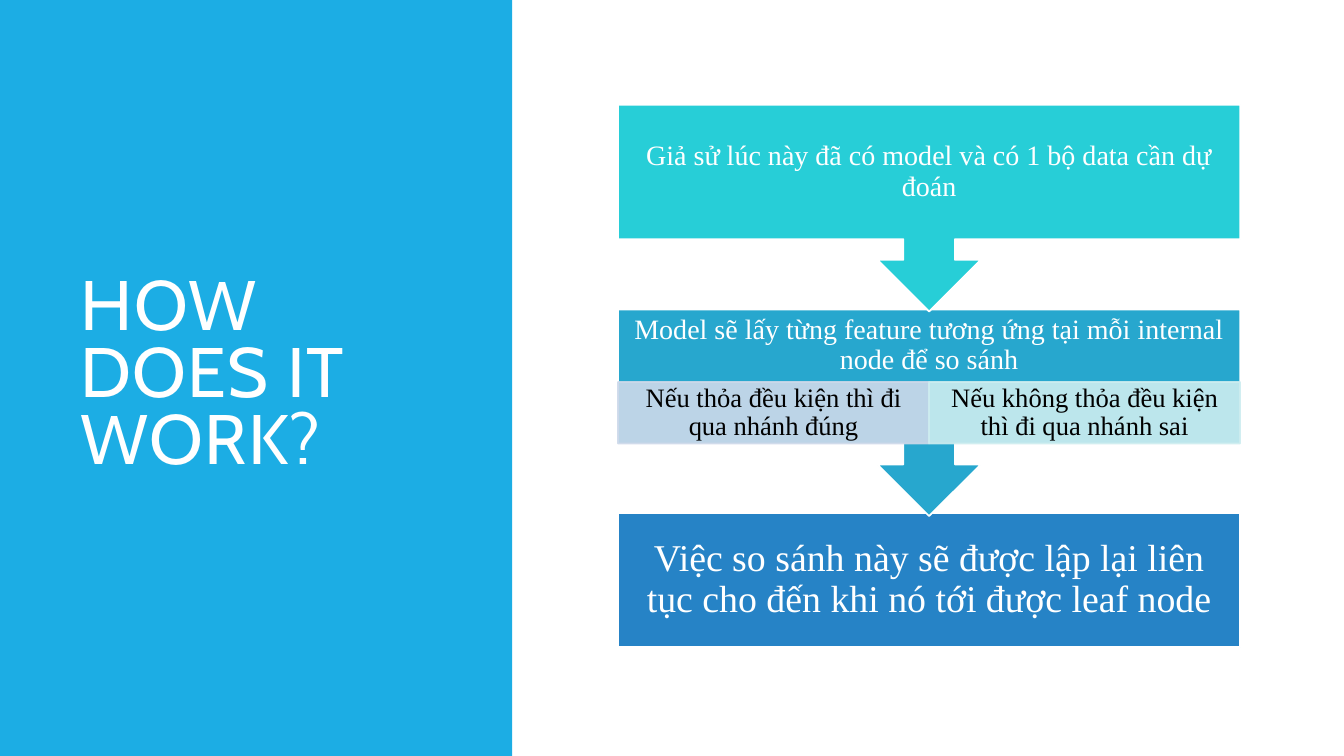
from dataclasses import dataclass

from lxml import etree
from pptx import Presentation
from pptx import util as u
from pptx.dml.color import RGBColor
from pptx.enum import shapes, text
from pptx.oxml import ns

WHITE, BLACK = "FFFFFF", "000000"
FLOW_LEFT, FLOW_WIDTH = 6.13, 6.17
BRANCH_WIDTH = FLOW_WIDTH / 2


@dataclass
class Area:
    left: float
    top: float
    width: float
    height: float

    def lengths(self) -> list:
        return [u.Inches(v) for v in (self.left, self.top, self.width, self.height)]


@dataclass
class Style:
    size: float
    color: str = WHITE
    font: str = "Times New Roman"
    align: text.PP_ALIGN = text.PP_ALIGN.CENTER
    line_spacing: float = 0.9
    inset_x: float = 0.16
    inset_y: float = 0.16


@dataclass
class Callout:
    top: float
    text_height: float
    fill: str
    words: str


@dataclass
class Branch:
    fill: str
    words: str


def rgb(color: str) -> RGBColor:
    return RGBColor.from_string(color)


def set_opacity(fill, percent: int) -> None:
    """Add an alpha value to a solid fill's colour."""
    parent = fill._xPr.find(ns.qn("a:solidFill"))
    etree.SubElement(parent[0], ns.qn("a:alpha"), val=str(percent * 1000))


def add_block(page, kind, area: Area, fill: str, line: str = "", opacity: int = 100):
    box = page.shapes.add_shape(kind, *area.lengths())
    box.shadow.inherit = False
    box.fill.solid()
    box.fill.fore_color.rgb = rgb(fill)
    if line:
        box.line.color.rgb = rgb(line)
        box.line.width = u.Pt(1.25)
    else:
        box.line.fill.background()
    if opacity < 100:
        set_opacity(box.fill, opacity)
        set_opacity(box.line.fill, opacity)
    return box


def write(box, words: str, style: Style):
    frame = box.text_frame
    frame.word_wrap = True
    frame.vertical_anchor = text.MSO_ANCHOR.MIDDLE
    frame.margin_left = frame.margin_right = u.Inches(style.inset_x)
    frame.margin_top = frame.margin_bottom = u.Inches(style.inset_y)
    para = frame.paragraphs[0]
    para.alignment = style.align
    para.line_spacing = style.line_spacing
    span = para.add_run()
    span.text = words
    para.font.name = style.font
    para.font.size = u.Pt(style.size)
    para.font.color.rgb = rgb(style.color)
    return span


def add_callout(page, callout: Callout) -> None:
    """Draw a box with a downward arrow, and upright text over its box part."""
    area = Area(FLOW_LEFT, callout.top, FLOW_WIDTH, 2.05)
    arrow = add_block(page, shapes.MSO_SHAPE.UP_ARROW_CALLOUT, area, callout.fill, WHITE)
    arrow.rotation = 180
    label = Area(FLOW_LEFT, callout.top, FLOW_WIDTH, callout.text_height)
    write(page.shapes.add_textbox(*label.lengths()), callout.words, Style(20))


def main() -> None:
    deck = Presentation()
    deck.slide_width, deck.slide_height = u.Inches(13.33), u.Inches(7.5)
    page = deck.slides.add_slide(deck.slide_layouts[6])
    rectangle = shapes.MSO_SHAPE.RECTANGLE

    # Title panel
    add_block(page, rectangle, Area(0, 0, 5.08, 7.5), "1CADE4")
    title = page.shapes.add_textbox(*Area(0.7, 0.7, 3.74, 6.09).lengths())
    title_style = Style(50, font="Cabin", align=text.PP_ALIGN.LEFT,
                        line_spacing=0.8, inset_x=0.1, inset_y=0.05)
    span = write(title, "HOW DOES IT WORK?", title_style)
    span.font._element.set("spc", "100")

    # Last step, beneath the arrow tips
    last = add_block(page, rectangle, Area(FLOW_LEFT, 5.09, FLOW_WIDTH, 1.33), "2683C6", WHITE)
    write(last, "Việc so sánh này sẽ được lập lại liên tục cho đến khi nó tới được leaf node",
          Style(27, inset_x=0.21, inset_y=0.21))

    # Comparison step and its two branches
    add_callout(page, Callout(3.07, 0.72, "27A7CE",
                              "Model sẽ lấy từng feature tương ứng tại mỗi internal node để so sánh"))
    branches = [
        Branch("CDD9EA", "Nếu thỏa đều kiện thì đi qua nhánh đúng"),
        Branch("CDEDF0", "Nếu không thỏa đều kiện thì đi qua nhánh sai"),
    ]
    for index, branch in enumerate(branches):
        area = Area(FLOW_LEFT + index * BRANCH_WIDTH, 3.79, BRANCH_WIDTH, 0.61)
        box = add_block(page, rectangle, area, branch.fill, branch.fill, opacity=90)
        write(box, branch.words, Style(19, BLACK, inset_x=0.15, inset_y=0.03))

    # First step
    add_callout(page, Callout(1.04, 1.33, "27CED7",
                              "Giả sử lúc này đã có model và có 1 bộ data cần dự đoán"))

    deck.save("out.pptx")


if __name__ == "__main__":
    main()
